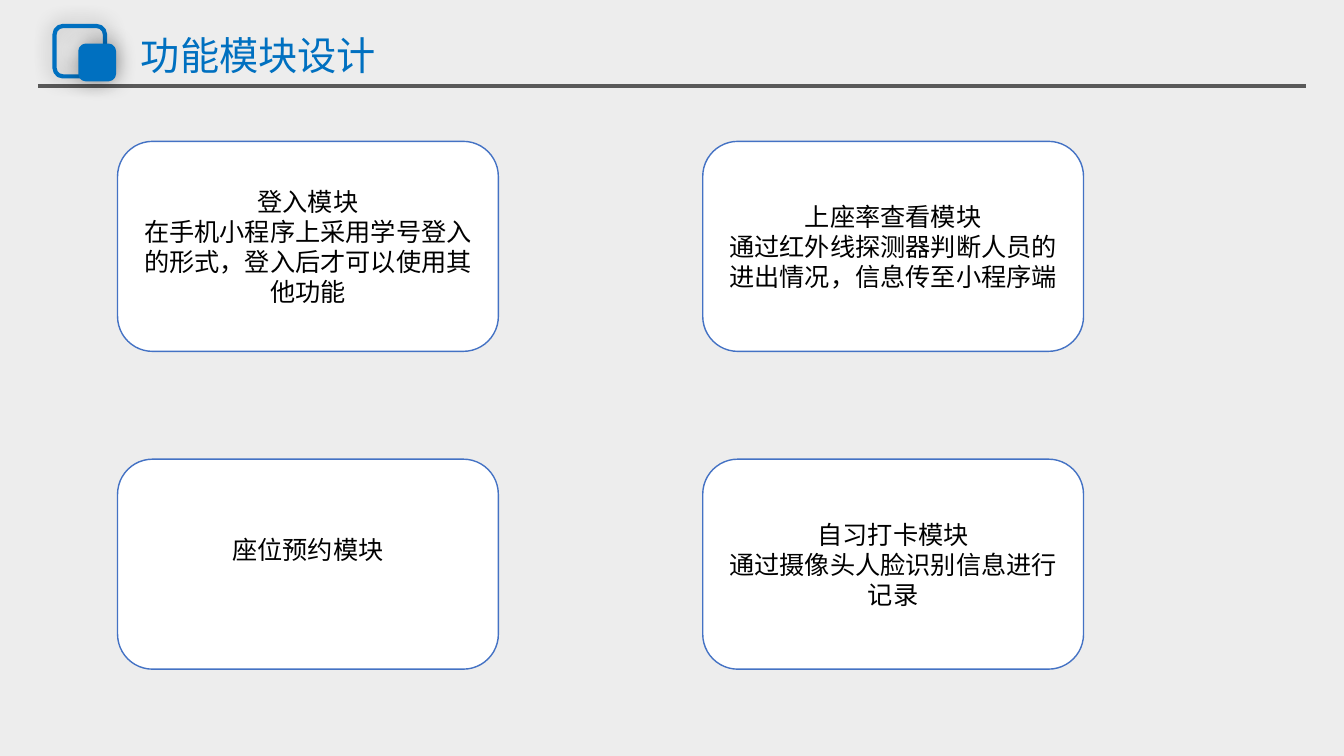
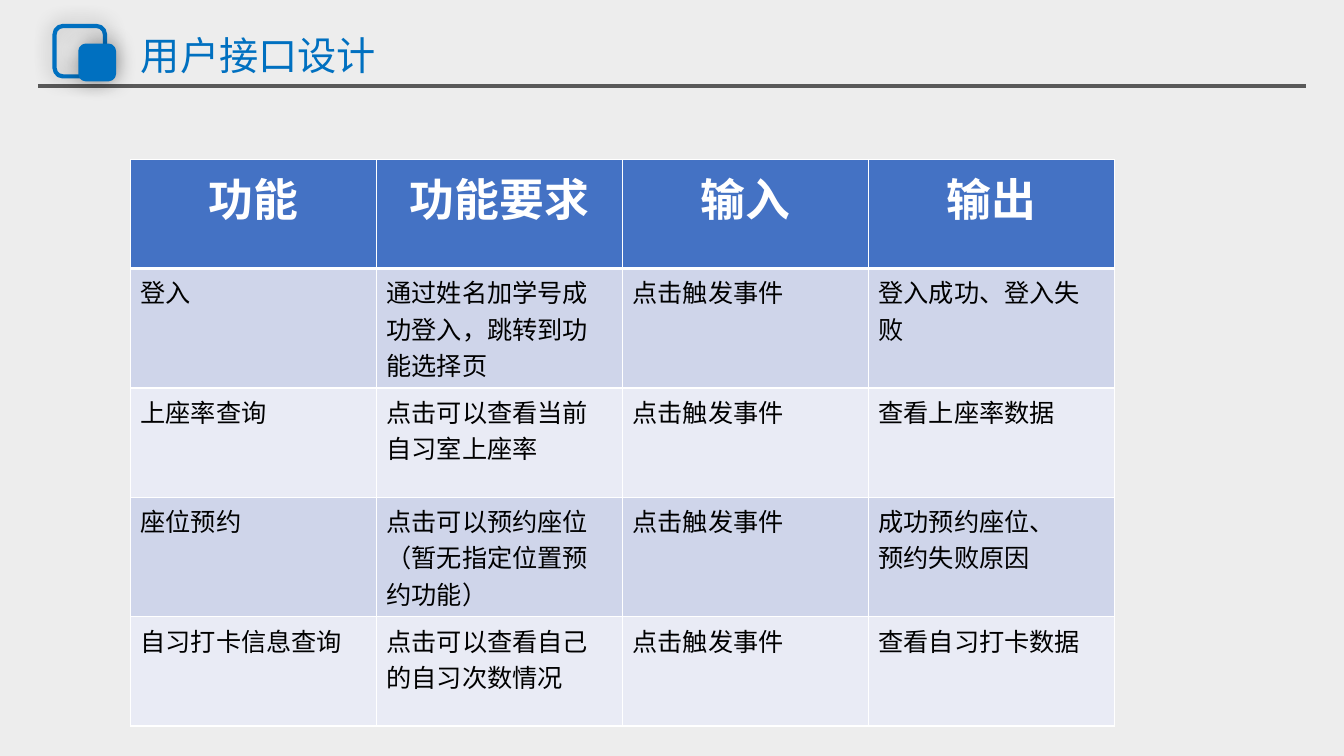
"""Build two slides on the modules and user interface of a study-room booking app."""
from lxml import etree
from pptx import Presentation
from pptx.dml.color import RGBColor
from pptx.enum import shapes, text
from pptx.oxml import parse_xml
from pptx.oxml.ns import nsdecls, qn
from pptx.util import Pt

COLORS = {
    "back": "EDEDED", "rule": "595959", "accent": "0070C0", "blue": "4472C4",
    "band1": "CFD5EA", "band2": "E9EBF5", "white": "FFFFFF", "black": "000000",
}
RGB = {k: RGBColor.from_string(v) for k, v in COLORS.items()}
TITLE = {"font": {"size": Pt(28), "bold": False}, "color": "accent",
         "para": {"line_spacing": 0.9}}
CARD = {"font": {"size": Pt(18), "bold": False}, "color": "black",
        "para": {"alignment": text.PP_ALIGN.CENTER, "line_spacing": Pt(21.4)}}
HEAD = {"font": {"size": Pt(32), "bold": True}, "color": "white",
        "para": {"alignment": text.PP_ALIGN.CENTER}}
BODY = {"font": {"size": Pt(18), "bold": False}, "color": "black",
        "para": {"alignment": text.PP_ALIGN.LEFT}}


def write(tf, lines, fmt):
    for i, line in enumerate(lines):
        p = tf.paragraphs[0] if i == 0 else tf.add_paragraph()
        for k, v in fmt["para"].items():
            setattr(p, k, v)
        r = p.add_run()
        r.text = line
        r.font.name = "Arial"
        r.font.color.rgb = RGB[fmt["color"]]
        for k, v in fmt["font"].items():
            setattr(r.font, k, v)


def round_rect(s, box, fill, line, width):
    sp = s.shapes.add_shape(shapes.MSO_SHAPE.ROUNDED_RECTANGLE, *map(Pt, box))
    sp.shadow.inherit = False
    if fill:
        sp.fill.solid()
        sp.fill.fore_color.rgb = RGB[fill]
    else:
        sp.fill.background()
    sp.line.color.rgb = RGB[line]
    sp.line.width = Pt(width)
    return sp


prs = Presentation()
prs.slide_width, prs.slide_height = Pt(960), Pt(540)
back = prs.slide_master.background.fill
back.solid()
back.fore_color.rgb = RGB["back"]

slides = []
for title in ("功能模块设计", "用户接口设计"):
    s = prs.slides.add_slide(prs.slide_layouts[6])
    slides.append(s)
    rule = s.shapes.add_connector(shapes.MSO_CONNECTOR.STRAIGHT,
                                  Pt(27), Pt(61.6), Pt(933), Pt(61.6))
    rule.line.color.rgb = RGB["rule"]
    rule.line.width = Pt(3)
    etree.SubElement(rule._element.spPr, qn("a:effectLst"))
    for box, fill in (((39, 18.6, 36, 36), None), ((57.4, 32.6, 24, 24), "accent")):
        sp = round_rect(s, box, fill, "accent", 3)
        sp._element.spPr.find(qn("a:effectLst")).append(parse_xml(
            f'<a:outerShdw {nsdecls("a")} blurRad="{Pt(15)}" dist="0" algn="ctr" '
            f'rotWithShape="0"><a:srgbClr val="{COLORS["black"]}">'
            '<a:alpha val="40000"/></a:srgbClr></a:outerShdw>'))
    tf = s.shapes.add_textbox(Pt(93.6), Pt(23), Pt(373), Pt(36)).text_frame
    tf.word_wrap = True
    tf.vertical_anchor = text.MSO_ANCHOR.MIDDLE
    write(tf, [title], TITLE)

modules = [
    ["登入模块", "在手机小程序上采用学号登入的形式，登入后才可以使用其他功能"],
    ["上座率查看模块", "通过红外线探测器判断人员的进出情况，信息传至小程序端"],
    ["座位预约模块"],
    ["自习打卡模块", "通过摄像头人脸识别信息进行记录"],
]
for i, lines in enumerate(modules):
    row, col = divmod(i, 2)
    box = (84 + col * 418, 101 + row * 227, 272, 150)
    tf = round_rect(slides[0], box, "white", "blue", 1).text_frame
    tf.word_wrap = True
    tf.vertical_anchor = text.MSO_ANCHOR.MIDDLE
    if len(lines) == 1:
        tf.margin_bottom = Pt(25)
    write(tf, lines, CARD)

rows = [
    ["功能", "功能要求", "输入", "输出"],
    ["登入", "通过姓名加学号成功登入，跳转到功能选择页", "点击触发事件", "登入成功、登入失败"],
    ["上座率查询", "点击可以查看当前自习室上座率", "点击触发事件", "查看上座率数据"],
    ["座位预约", "点击可以预约座位（暂无指定位置预约功能）", "点击触发事件",
     "成功预约座位、\n预约失败原因"],
    ["自习打卡信息查询", "点击可以查看自己的自习次数情况", "点击触发事件", "查看自习打卡数据"],
]
heights = [85.4 if i % 2 else 78 for i in range(len(rows))]
table = slides[1].shapes.add_table(len(rows), len(rows[0]), Pt(93.2), Pt(113.8),
                                   Pt(702.8), Pt(sum(heights))).table
for column in table.columns:
    column.width = Pt(175.7)
for i, row in enumerate(rows):
    table.rows[i].height = Pt(heights[i])
    fill = "blue" if i == 0 else "band1" if i % 2 else "band2"
    for j, value in enumerate(row):
        cell = table.cell(i, j)
        tcPr = cell._tc.get_or_add_tcPr()
        for side in "LRTB":
            thick = (i, side) in ((0, "B"), (1, "T"))
            tcPr.append(parse_xml(
                f'<a:ln{side} {nsdecls("a")} w="{Pt(3 if thick else 1)}"><a:solidFill>'
                f'<a:srgbClr val="{COLORS["white"]}"/></a:solidFill></a:ln{side}>'))
        cell.fill.solid()
        cell.fill.fore_color.rgb = RGB[fill]
        write(cell.text_frame, value.split("\n"), BODY if i else HEAD)

prs.save("out.pptx")
